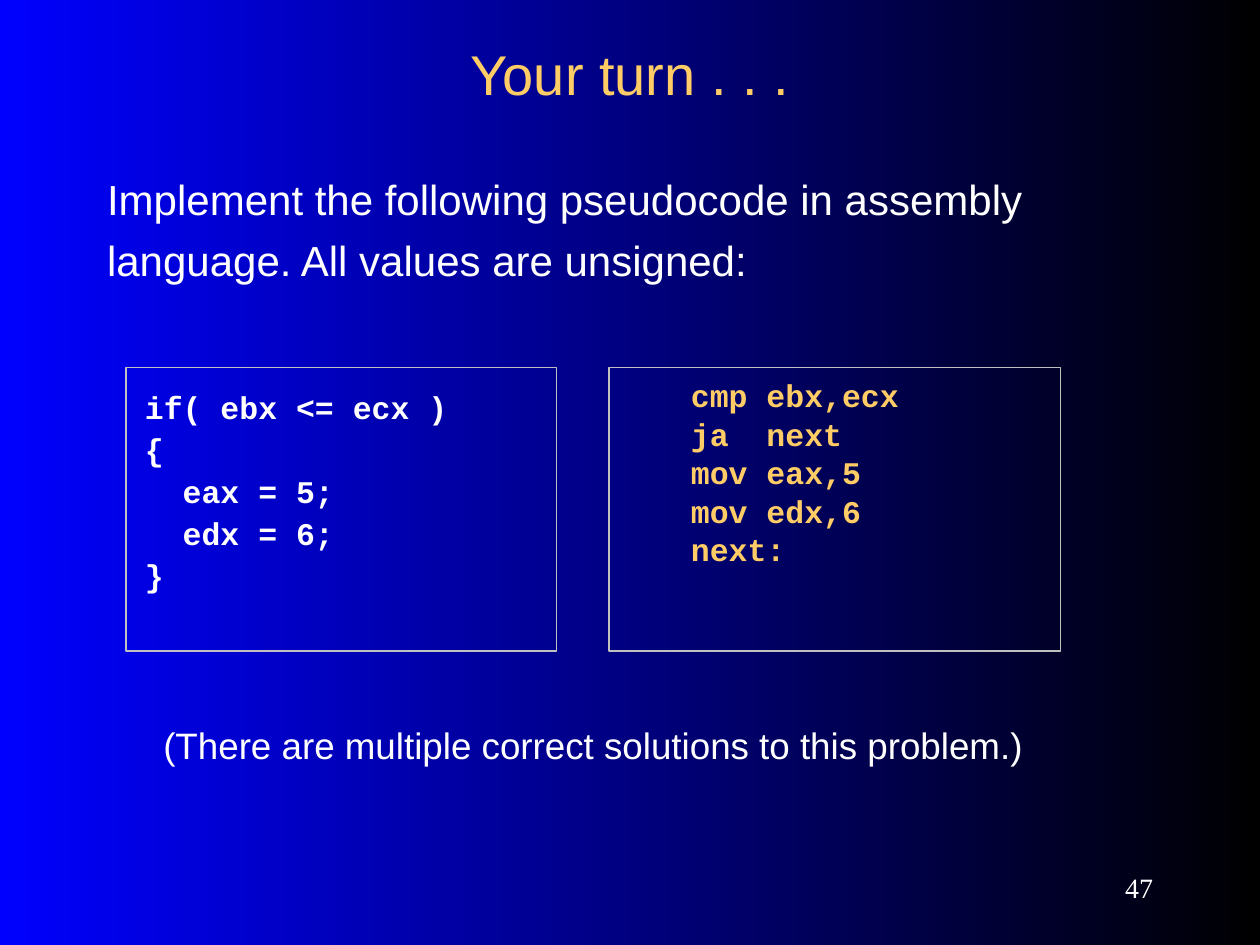
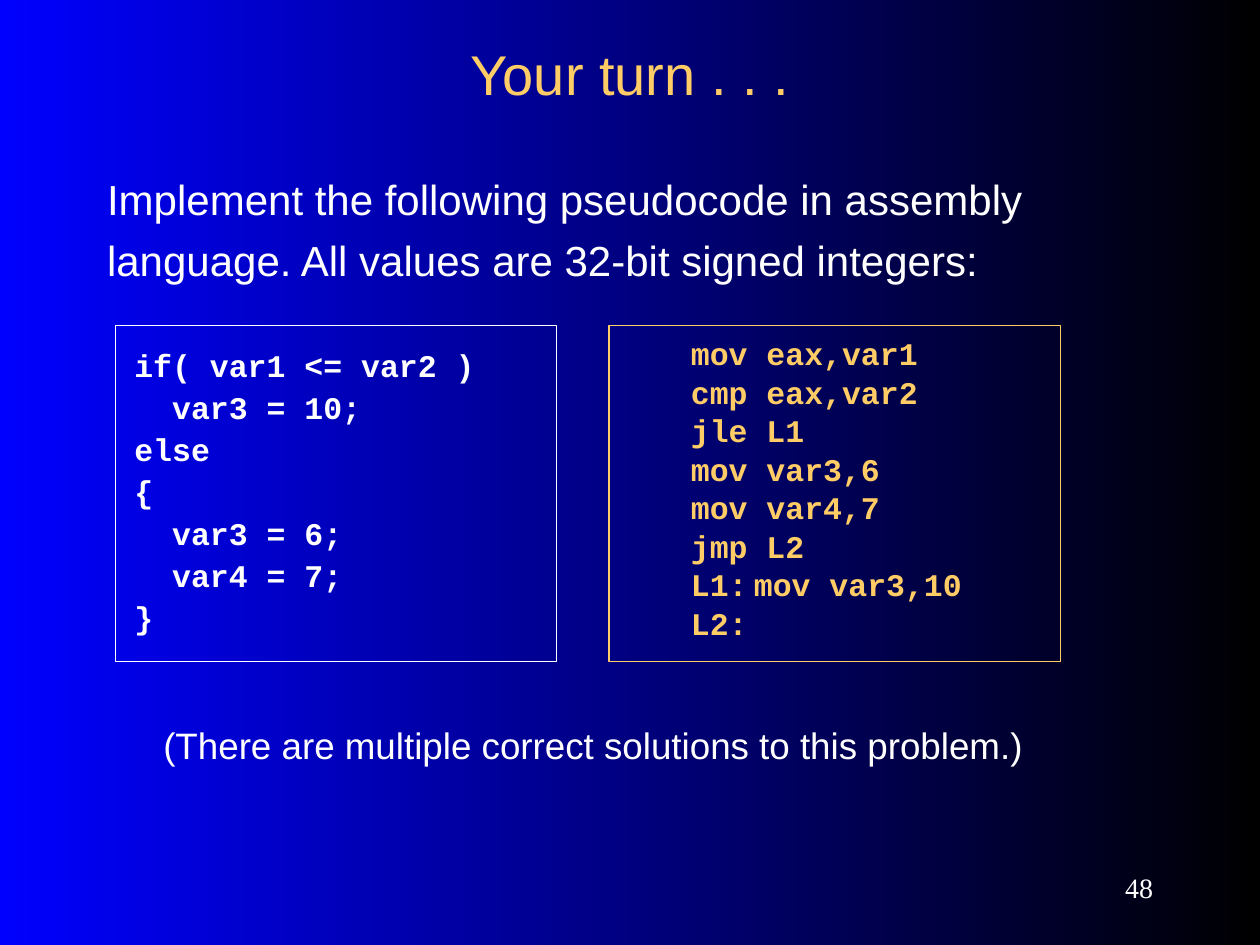
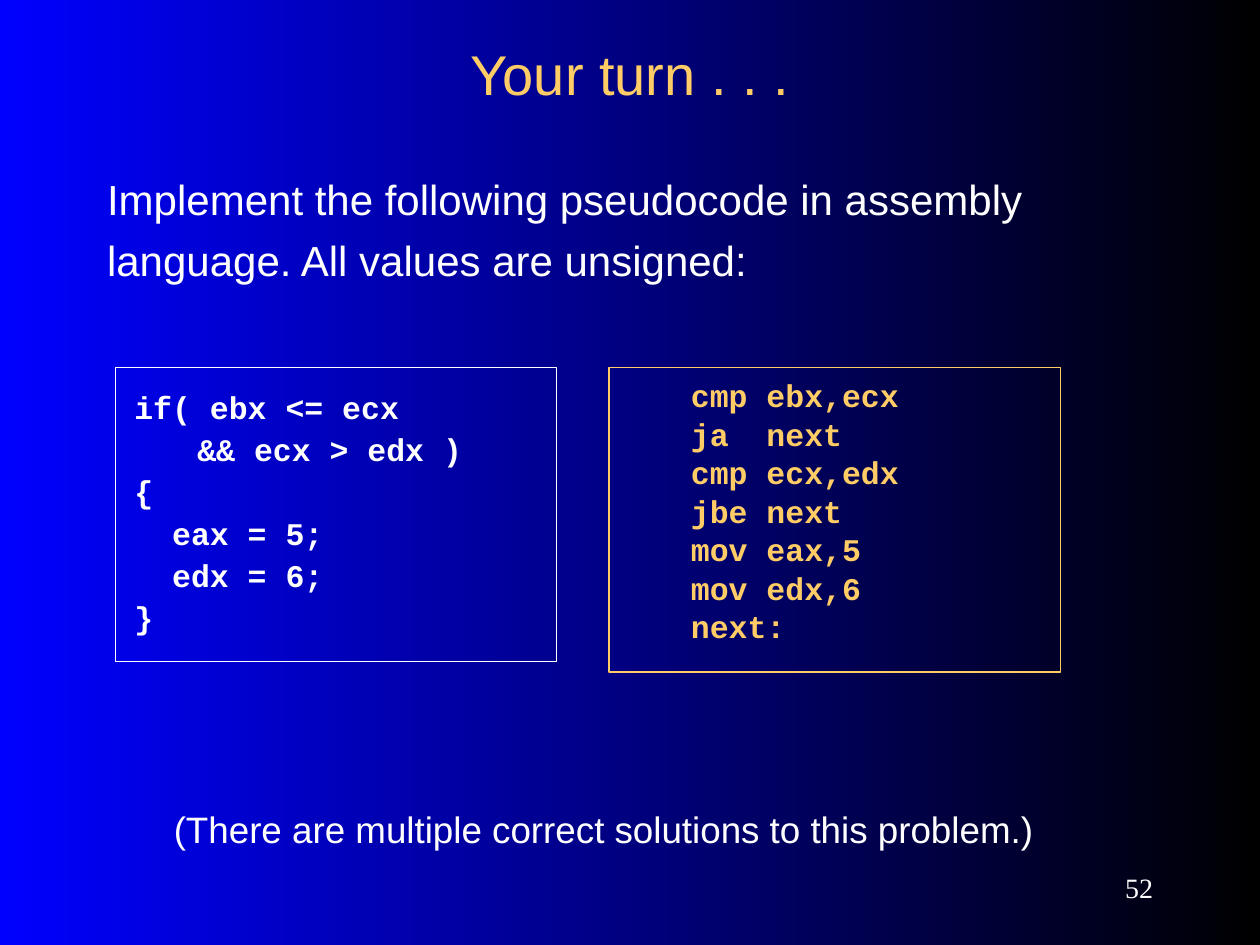
from dataclasses import dataclass

from lxml.etree import SubElement
from pptx import Presentation
from pptx.dml.color import RGBColor
from pptx.enum.shapes import MSO_SHAPE
from pptx.enum.text import MSO_ANCHOR, MSO_AUTO_SIZE, PP_ALIGN
from pptx.oxml.ns import qn
from pptx.util import Emu, Pt


@dataclass(frozen=True)
class Style:
    size: float
    color: str
    font: str = "Arial"
    bold: bool = False
    align: PP_ALIGN = PP_ALIGN.LEFT
    line_spacing: float = 1.0
    space_before: float = 0


@dataclass(frozen=True)
class Theme:
    black: str = "000000"
    blue: str = "0000FF"
    white: str = "FFFFFF"
    gold: str = "FFCC66"
    silver: str = "C0C0C0"
    title: Style = Style(32, gold, align=PP_ALIGN.CENTER)
    task: Style = Style(24, white, line_spacing=1.2)
    note: Style = Style(21, white, align=PP_ALIGN.CENTER)
    number: Style = Style(16, white, "Times New Roman", align=PP_ALIGN.RIGHT)
    pseudocode: Style = Style(18, white, "Courier New", True,
                              line_spacing=0.9, space_before=4.5)
    assembly: Style = Style(18, gold, "Courier New", True,
                            line_spacing=0.5, space_before=11.2)


THEME = Theme()
CODE_TAB = 60
ANSWER_LEFT, ANSWER_WIDTH = 580, 430
PSEUDO_RIGHT = 530


def px(n):
    """Convert px, at 120 to the inch, to EMU."""
    return Emu(n * 7620)


def place(sp, left, top, width, height):
    sp.left, sp.top, sp.width, sp.height = map(px, (left, top, width, height))


def write(sp, lines, style, inset=(12, 6), anchor=MSO_ANCHOR.TOP, indent=0, tab=None):
    tf = sp.text_frame
    tf.word_wrap = True
    tf.auto_size = MSO_AUTO_SIZE.NONE
    tf.vertical_anchor = anchor
    tf.margin_left = tf.margin_right = px(inset[0])
    tf.margin_top = tf.margin_bottom = px(inset[1])
    tf.text = "\n".join(lines)
    for i, p in enumerate(tf.paragraphs):
        pPr = p._p.get_or_add_pPr()
        pPr.set("marL", str(px(indent)))
        pPr.set("indent", "0")
        SubElement(pPr, qn("a:buNone"))
        if tab:
            tabs = SubElement(pPr, qn("a:tabLst"))
            SubElement(tabs, qn("a:tab"), pos=str(px(tab)), algn="l")
        p.alignment = style.align
        p.line_spacing = style.line_spacing
        p.space_before = Pt(style.space_before if i else 0)
        for r in p.runs:
            r.font.name = style.font
            r.font.size = Pt(style.size)
            r.font.bold = style.bold
            r.font.color.rgb = RGBColor.from_string(style.color)


def add_text(slide, box, text, style, **options):
    sp = slide.shapes.add_textbox(*map(px, box))
    write(sp, [text], style, **options)


def add_code(slide, box, code, style, border, indent=0):
    sp = slide.shapes.add_shape(MSO_SHAPE.RECTANGLE, *map(px, box))
    sp.shadow.inherit = False
    sp.fill.background()
    sp.line.color.rgb = RGBColor.from_string(border)
    sp.line.width = Pt(0.75)
    write(sp, code, style, inset=(18, 24), indent=indent, tab=CODE_TAB)


def set_background(master):
    fill = master.background.fill
    fill.gradient()
    fill.gradient_angle = 180
    for stop, color in zip(fill.gradient_stops, (THEME.black, THEME.blue)):
        stop.color.rgb = RGBColor.from_string(color)


def add_exercise(prs, number, values, pseudocode, assembly, top, heights,
                 pseudo_left=110, borders=(THEME.white, THEME.gold), note_at=(90, 670)):
    """Add a slide with pseudocode on the left and its assembly on the right."""
    slide = prs.slides.add_slide(prs.slide_layouts[1])
    title, body = slide.placeholders
    place(title, 90, 30, 1020, 80)
    write(title, ["Your turn . . ."], THEME.title, anchor=MSO_ANCHOR.MIDDLE)
    place(body, 90, 150, 1020, 160)
    write(body, ["Implement the following pseudocode in assembly language. "
                 f"All values are {values}:"], THEME.task)

    pseudo_height, answer_height = heights
    pseudo_border, answer_border = borders
    add_code(slide, (ANSWER_LEFT, top, ANSWER_WIDTH, answer_height),
             assembly, THEME.assembly, answer_border, indent=CODE_TAB)
    add_code(slide, (pseudo_left, top, PSEUDO_RIGHT - pseudo_left, pseudo_height),
             pseudocode, THEME.pseudocode, pseudo_border)
    add_text(slide, (*note_at, 950, 78),
             "(There are multiple correct solutions to this problem.)",
             THEME.note, inset=(12, 18))
    add_text(slide, (980, 820, 130, 50), str(number), THEME.number,
             anchor=MSO_ANCHOR.MIDDLE)


def main():
    prs = Presentation()
    prs.slide_width, prs.slide_height = px(1200), px(900)
    set_background(prs.slide_master)

    add_exercise(
        prs, 47, "unsigned",
        ["if( ebx <= ecx )", "{", "  eax = 5;", "  edx = 6;", "}"],
        ["cmp ebx,ecx", "ja  next", "mov eax,5", "mov edx,6", "next:"],
        top=350, heights=(270, 270), pseudo_left=120,
        borders=(THEME.silver, THEME.silver))
    add_exercise(
        prs, 48, "32-bit signed integers",
        ["if( var1 <= var2 )", "  var3 = 10;", "else", "{",
         "  var3 = 6;", "  var4 = 7;", "}"],
        ["mov eax,var1", "cmp eax,var2", "jle L1", "mov var3,6", "mov var4,7",
         "jmp L2", "L1:\tmov var3,10", "L2:"],
        top=310, heights=(320, 320))
    add_exercise(
        prs, 52, "unsigned",
        ["if( ebx <= ecx", "\t&& ecx > edx )", "{", "  eax = 5;", "  edx = 6;", "}"],
        ["cmp ebx,ecx", "ja  next", "cmp ecx,edx", "jbe next",
         "mov eax,5", "mov edx,6", "next:"],
        top=350, heights=(280, 290), note_at=(100, 750))

    prs.save("out.pptx")


if __name__ == "__main__":
    main()
